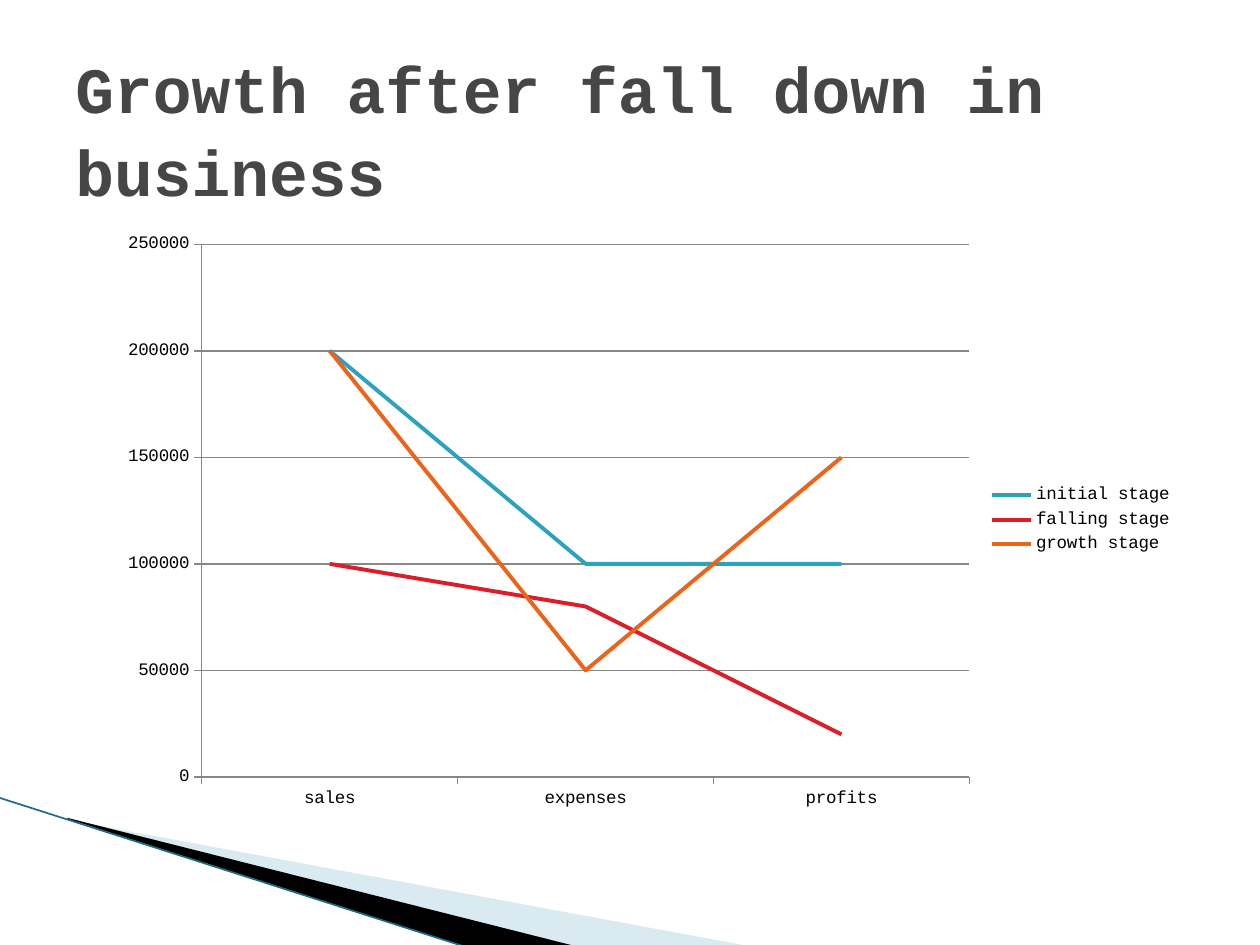
import pptx
import pptx.chart.data
import pptx.dml.color
import pptx.enum.chart
import pptx.enum.shapes
import pptx.enum.text
import pptx.oxml
import pptx.oxml.ns
import pptx.util
from dataclasses import dataclass

Inches = pptx.util.Inches
Pt = pptx.util.Pt


@dataclass(frozen=True)
class Theme:
    font: str = "Courier New"
    title_size: float = 36.9
    chart_size: float = 10
    title: str = "464646"
    text: str = "000000"
    grid: str = "878787"
    pale_wedge: str = "A0CBDC"
    dark_wedge: str = "000000"
    edge: str = "1A6E82"
    stages: tuple = ("2DA2BF", "DA1F28", "EB641B")


THEME = Theme()


def rgb(value):
    return pptx.dml.color.RGBColor.from_string(value)


def apply(target, formats):
    for name, value in formats.items():
        setattr(target, name, value)


def style_font(font, size, color, bold=False):
    apply(font, {"name": THEME.font, "size": Pt(size), "bold": bold})
    font.color.rgb = rgb(color)


def style_line(line, color, width):
    line.color.rgb = rgb(color)
    line.width = Pt(width)


def add_wedge(slide, left, top, points, color, opacity=None):
    corners = [(Inches(left + x), Inches(top + y)) for x, y in points]
    outline = slide.shapes.build_freeform(*corners[0], scale=1.0)
    outline.add_line_segments(corners[1:], close=True)
    wedge = outline.convert_to_shape()
    wedge.shadow.inherit = False
    wedge.fill.solid()
    wedge.fill.fore_color.rgb = rgb(color)
    wedge.line.fill.background()
    if opacity is not None:
        tint = wedge.fill._xPr.find(".//" + pptx.oxml.ns.qn("a:srgbClr"))
        tint.append(pptx.oxml.parse_xml(
            f'<a:alpha {pptx.oxml.ns.nsdecls("a")} val="{opacity * 1000}"/>'))


def add_corner_sweep(slide, left, top):
    add_wedge(slide, left, top,
              [(0.55, 0.18), (5.95, 1.18), (4.56, 1.18), (0.55, 0.17)],
              THEME.pale_wedge, 40)
    add_wedge(slide, left, top,
              [(0.53, 0.16), (4.57, 1.18), (3.72, 1.19), (0.54, 0.17)],
              THEME.dark_wedge)
    edge = slide.shapes.add_connector(
        pptx.enum.shapes.MSO_CONNECTOR.STRAIGHT,
        Inches(left - 0.01), Inches(top), Inches(left + 3.71), Inches(top + 1.19))
    style_line(edge.line, THEME.edge, 0.95)
    edge._element.spPr.append(pptx.oxml.parse_xml(
        f'<a:effectLst {pptx.oxml.ns.nsdecls("a")}/>'))


def add_title(slide, wording, left, top, width, height):
    title = slide.shapes.add_textbox(*map(Inches, (left, top, width, height))).text_frame
    apply(title, {"word_wrap": True,
                  "vertical_anchor": pptx.enum.text.MSO_ANCHOR.TOP})
    heading = title.paragraphs[0]
    heading.line_spacing = 1.07
    run = heading.add_run()
    run.text = wording
    style_font(run.font, THEME.title_size, THEME.title, True)


def fix_plot_area(chart, **bounds):
    sides = "".join(f'<c:{name} val="{value}"/>' for name, value in bounds.items())
    plot_area = chart._chartSpace.chart.plotArea
    for old in plot_area.findall(pptx.oxml.ns.qn("c:layout")):
        plot_area.remove(old)
    plot_area.insert(0, pptx.oxml.parse_xml(
        f'<c:layout {pptx.oxml.ns.nsdecls("c")}><c:manualLayout>'
        '<c:layoutTarget val="inner"/><c:xMode val="edge"/><c:yMode val="edge"/>'
        f'{sides}</c:manualLayout></c:layout>'))


def add_stage_chart(slide, categories, stages, left, top, width, height):
    figures = pptx.chart.data.CategoryChartData()
    figures.categories = categories
    for name, values in stages.items():
        figures.add_series(name, values)
    chart = slide.shapes.add_chart(
        pptx.enum.chart.XL_CHART_TYPE.LINE,
        *map(Inches, (left, top, width, height)), figures).chart
    style_font(chart.font, THEME.chart_size, THEME.text)
    apply(chart, {"has_title": False, "has_legend": True})
    apply(chart.legend, {"position": pptx.enum.chart.XL_LEGEND_POSITION.RIGHT,
                         "include_in_layout": False})
    chart.plots[0].vary_by_categories = False
    for series, color in zip(chart.plots[0].series, THEME.stages):
        series.smooth = False
        series.marker.style = pptx.enum.chart.XL_MARKER_STYLE.NONE
        style_line(series.format.line, color, 2.25)
    for axis in (chart.category_axis, chart.value_axis):
        apply(axis, {"major_tick_mark": pptx.enum.chart.XL_TICK_MARK.OUTSIDE,
                     "minor_tick_mark": pptx.enum.chart.XL_TICK_MARK.NONE})
        style_line(axis.format.line, THEME.grid, 0.75)
    apply(chart.value_axis, {"minimum_scale": 0, "maximum_scale": 250000,
                             "major_unit": 50000, "has_major_gridlines": True})
    style_line(chart.value_axis.major_gridlines.format.line, THEME.grid, 0.75)
    fix_plot_area(chart, x=0.09, y=0.04, w=0.71, h=0.89)


deck = pptx.Presentation()
apply(deck, {"slide_width": Inches(10), "slide_height": Inches(7.5)})
growth = deck.slides.add_slide(deck.slide_layouts[6])
add_corner_sweep(growth, 0, 6.33)
add_title(growth, "Growth after fall down in business", 0.5, 0.3, 9, 1.25)
add_stage_chart(
    growth, ["sales", "expenses", "profits"],
    {"initial stage": (200000, 100000, 100000),
     "falling stage": (100000, 80000, 20000),
     "growth stage": (200000, 50000, 150000)},
    0.83, 1.75, 8.58, 4.75)
deck.save("out.pptx")
